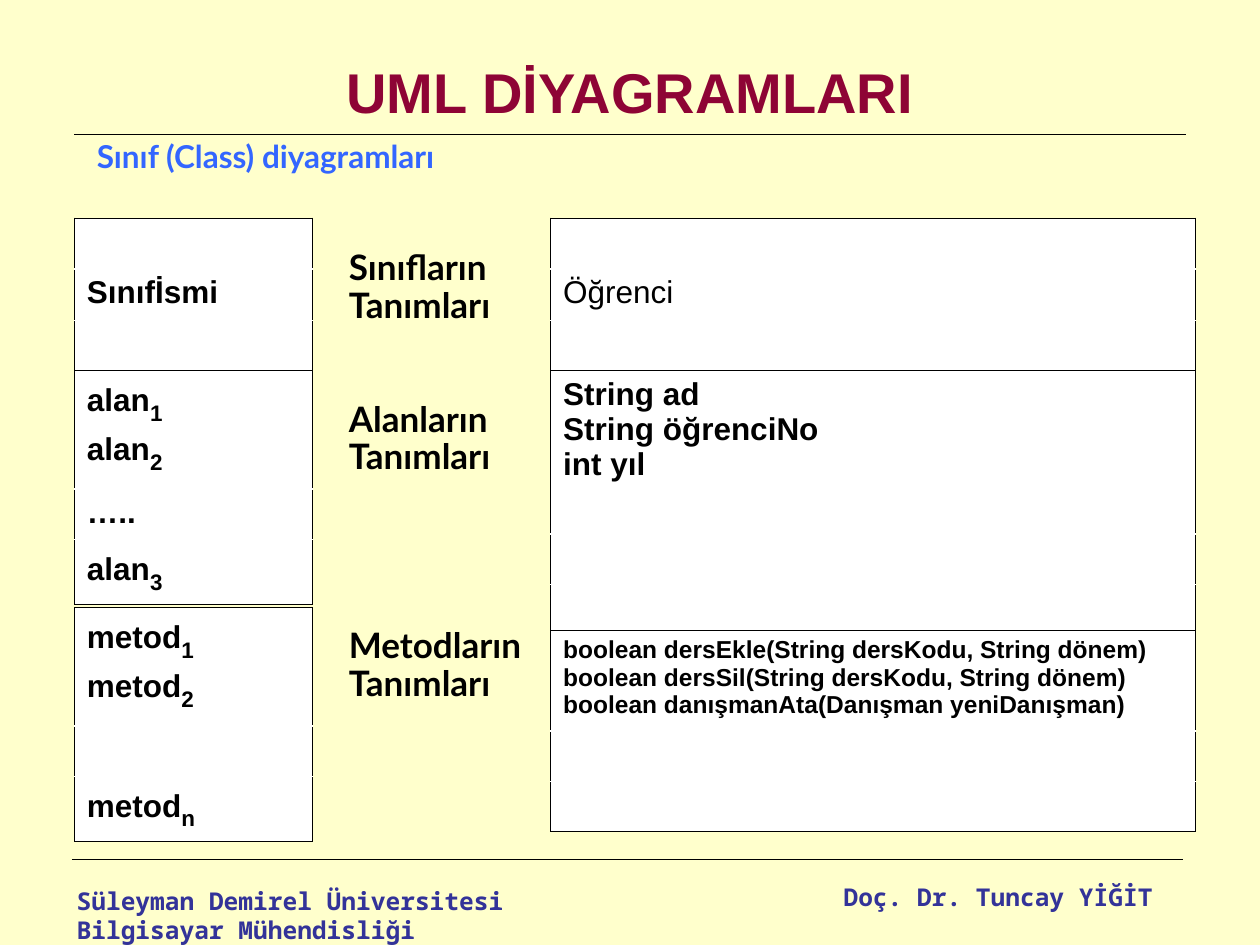
from dataclasses import dataclass
from lxml.etree import SubElement
from pptx import Presentation
from pptx.dml.color import RGBColor
from pptx.enum.shapes import MSO_CONNECTOR
from pptx.enum.text import MSO_ANCHOR, PP_ALIGN
from pptx.oxml import parse_xml
from pptx.oxml.ns import nsdecls, qn
from pptx.util import Inches, Pt

COLS, ROWS = 100, 75
BLACK, WHITE, NAVY = "000000", "FFFFFF", "333399"
THIN, THICK = 0.45, 1.47

prs = Presentation()
prs.slide_width, prs.slide_height = Inches(10), Inches(7.5)


def col(n: float) -> int:
    return round(prs.slide_width * n / COLS)


def row(n: float) -> int:
    return round(prs.slide_height * n / ROWS)


def rgb(color: str) -> RGBColor:
    return RGBColor.from_string(color)


@dataclass
class Style:
    size: float
    font: str = "Arial"
    color: str = BLACK
    bold: bool = True
    align: PP_ALIGN = PP_ALIGN.LEFT
    spacing: float = 1.0


@dataclass
class Label:
    x: float
    y: float
    w: float
    h: float
    lines: list[str]
    style: Style


@dataclass
class Compartment:
    x: float
    y: float
    w: float
    heights: list[float]
    cells: list[list[str]]
    style: Style


def write(tf, lines: list[str], style: Style) -> None:
    for i, line in enumerate(lines):
        p = tf.add_paragraph() if i else tf.paragraphs[0]
        p.alignment, p.line_spacing = style.align, style.spacing
        f = p.font
        f.size, f.name, f.bold = Pt(style.size), style.font, style.bold
        f.color.rgb = rgb(style.color)
        base, _, index = line.partition("_")
        p.add_run().text = base
        if index:
            r = p.add_run()
            r.text = index
            r.font.size = Pt(22)
            r._r.get_or_add_rPr().set("baseline", "-25000")


def add_label(s, label: Label) -> None:
    box = s.shapes.add_textbox(col(label.x), row(label.y), col(label.w), row(label.h))
    box.text_frame.word_wrap = True
    write(box.text_frame, label.lines, label.style)


def add_rule(s, x: float, y: float, length: float) -> None:
    line = s.shapes.add_connector(
        MSO_CONNECTOR.STRAIGHT, col(x), row(y), col(x + length), row(y))
    line.line.color.rgb = rgb(BLACK)
    line.line.width = Pt(0.75)
    SubElement(line._element.spPr, qn("a:effectLst"))


def set_borders(cell, i: int, last: int) -> None:
    top = (BLACK, THIN) if i == 0 else (WHITE, THICK if i == 1 else THIN)
    bottom = (BLACK, THIN) if i == last else (WHITE, THICK if i == 0 else THIN)
    sides = {"lnL": (BLACK, THIN), "lnR": (BLACK, THIN), "lnT": top, "lnB": bottom}
    tc_pr = cell._tc.get_or_add_tcPr()
    for n, (tag, (color, width)) in enumerate(sides.items()):
        tc_pr.insert(n, parse_xml(
            f'<a:{tag} {nsdecls("a")} w="{Pt(width)}"><a:solidFill>'
            f'<a:srgbClr val="{color}"/></a:solidFill></a:{tag}>'))


def add_compartment(s, part: Compartment) -> None:
    count = len(part.heights)
    table = s.shapes.add_table(count, 1, col(part.x), row(part.y), col(part.w),
                               row(sum(part.heights))).table
    table.first_row = table.horz_banding = False
    for i, (height, lines) in enumerate(zip(part.heights, part.cells)):
        table.rows[i].height = row(height)
        cell = table.cell(i, 0)
        cell.fill.solid()
        cell.fill.fore_color.rgb = rgb(WHITE)
        set_borders(cell, i, count - 1)
        if lines:
            write(cell.text_frame, lines, part.style)


HEADING = Style(32, color="8E0435", align=PP_ALIGN.CENTER)
SUBTITLE = Style(18, "Lato", "3366FF", spacing=0.9)
CAPTION = Style(20, "Lato", spacing=0.9)
FOOTER = Style(14, "Noto Sans Mono", NAVY)
AUTHOR = Style(14, "Noto Sans Mono", NAVY, align=PP_ALIGN.RIGHT)
MEMBER, NAME, SIGNATURE = Style(18), Style(18, bold=False), Style(14)

LABELS = [
    Label(5.1, 69.8, 42.5, 5.7,
          ["Süleyman Demirel Üniversitesi Bilgisayar Mühendisliği"], FOOTER),
    Label(62.6, 69.5, 29.9, 3.4, ["Doç. Dr. Tuncay YİĞİT"], AUTHOR),
    Label(6.7, 10.7, 90.6, 3.7, ["Sınıf (Class) diyagramları"], SUBTITLE),
] + [
    Label(26.7, y, 17, 7, [subject, "Tanımları"], CAPTION)
    for subject, y in (("Sınıfların", 19.4), ("Alanların", 31.4), ("Metodların", 49.4))
]

LEFT, LEFT_W, RIGHT, RIGHT_W = 5.9, 18.9, 43.7, 51.2
NAME_Y, FIELD_Y = 17.3, 29.4
EQUAL, MEMBERS = [4.05] * 3, [9.4, 4, 5.2]
COMPARTMENTS = [
    Compartment(RIGHT, NAME_Y, RIGHT_W, EQUAL, [[], ["Öğrenci"], []], NAME),
    Compartment(RIGHT, FIELD_Y, RIGHT_W, [13, 4, 4],
                [["String ad", "String öğrenciNo", "int yıl"], [], []], MEMBER),
    Compartment(RIGHT, 50, RIGHT_W, [8, 4, 4],
                [["boolean dersEkle(String dersKodu, String dönem)",
                  "boolean dersSil(String dersKodu, String dönem)",
                  "boolean danışmanAta(Danışman yeniDanışman)"], [], []], SIGNATURE),
    Compartment(LEFT, NAME_Y, LEFT_W, EQUAL, [[], ["Sınıfİsmi"], []], MEMBER),
    Compartment(LEFT, FIELD_Y, LEFT_W, MEMBERS,
                [["alan_1", "alan_2"], ["….."], ["alan_3"]], MEMBER),
    Compartment(LEFT, 48.2, LEFT_W, MEMBERS,
                [["metod_1", "metod_2"], [], ["metod_n"]], MEMBER),
]


def main() -> None:
    s = prs.slides.add_slide(prs.slide_layouts[5])
    s.background.fill.solid()
    s.background.fill.fore_color.rgb = rgb("FFFFCC")
    title = s.shapes.title
    title.left, title.top, title.width, title.height = col(5), row(3), col(90), row(8.5)
    title.text_frame.vertical_anchor = MSO_ANCHOR.MIDDLE
    write(title.text_frame, ["UML DİYAGRAMLARI"], HEADING)
    for x, y in ((5.9, 10.7), (5.7, 68.2)):
        add_rule(s, x, y, 88.2)
    for label in LABELS:
        add_label(s, label)
    for part in COMPARTMENTS:
        add_compartment(s, part)
    prs.save("out.pptx")


if __name__ == "__main__":
    main()
